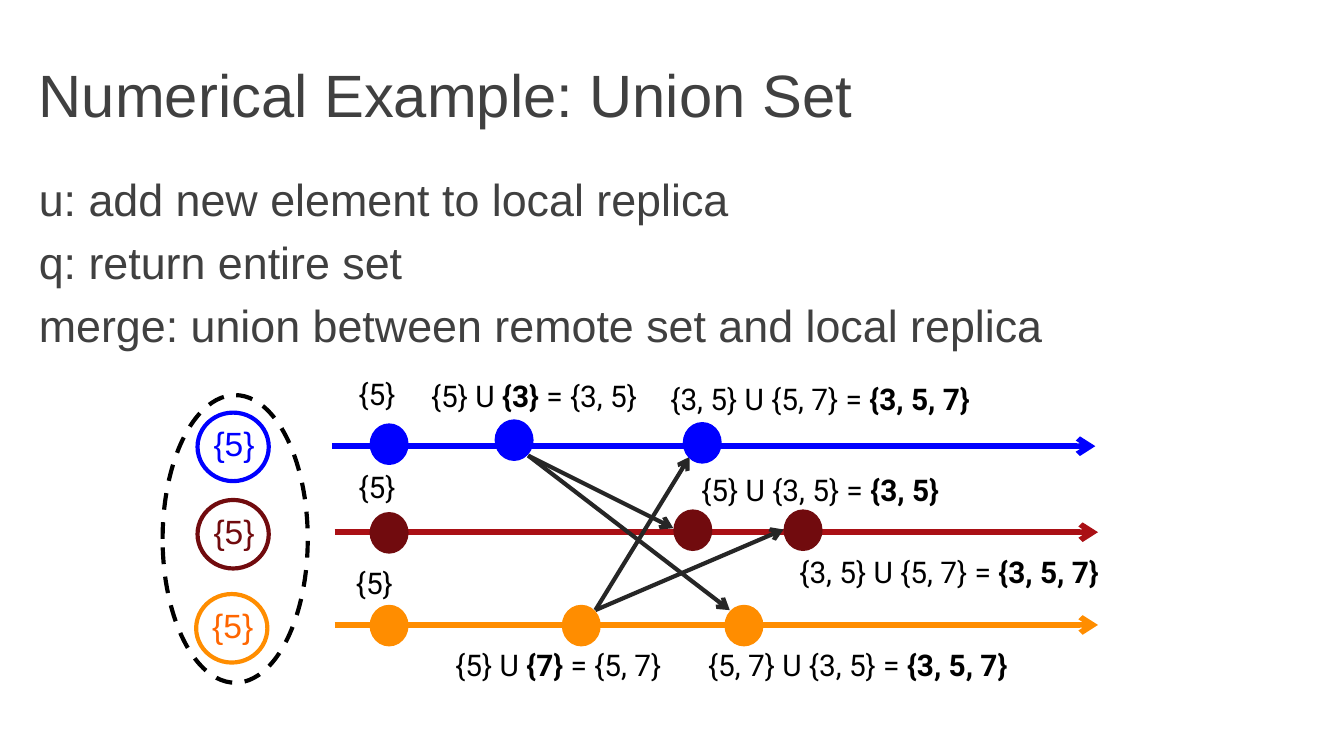
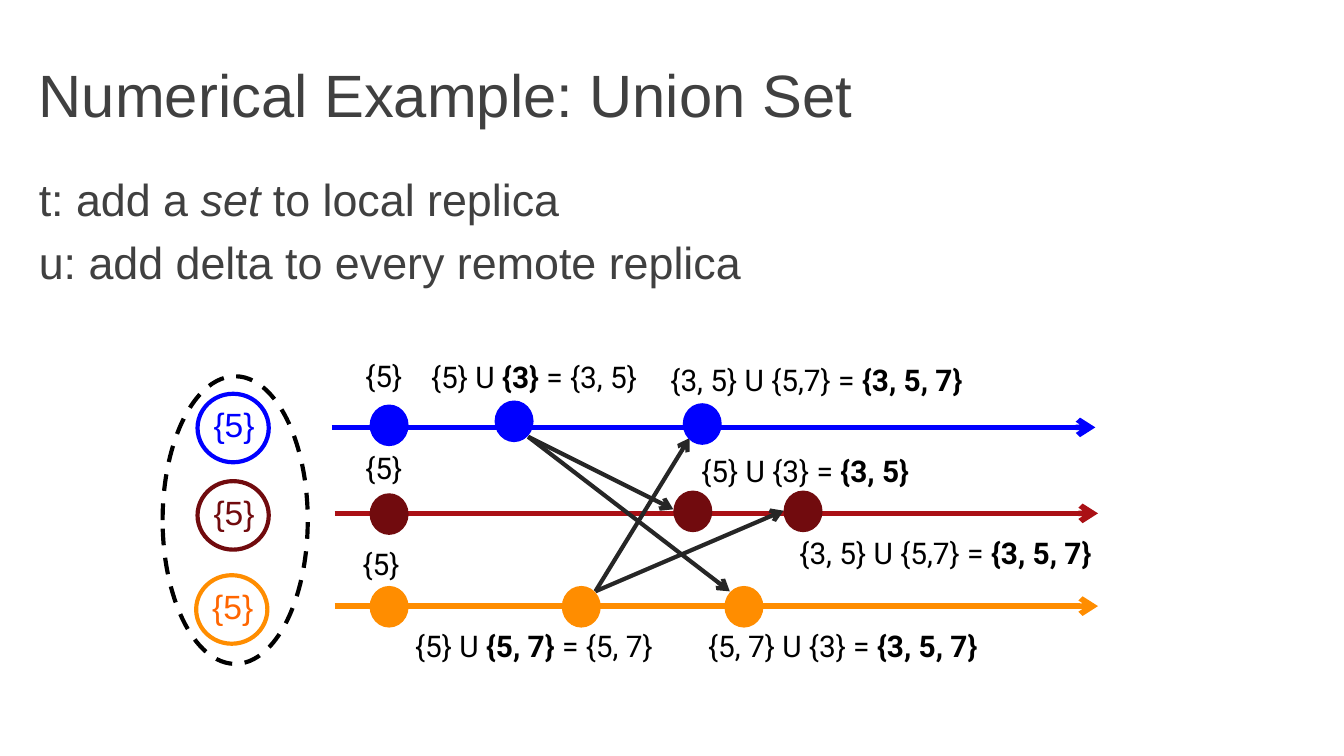
"""Build two slides that trace a replicated union set over three timelines."""
import pptx
import pptx.dml.color
import pptx.enum.dml
import pptx.enum.shapes
import pptx.enum.text
import pptx.oxml.ns
import pptx.util
from lxml import etree


class Theme:
    ink = "404040"
    black = "000000"
    blue = "0000FF"
    red = "AA1015"
    maroon = "710B0E"
    amber = "FF8D00"
    orange = "FF6600"
    coal = "262626"
    sans = "Arial"
    label = "Roboto"
    title = 32
    body = 24
    ring = 18
    note = 16
    gap = 4.8
    thick = 3
    thin = 2.25


PX = 9144
rgb = pptx.dml.color.RGBColor.from_string
qn = pptx.oxml.ns.qn


def oval(shapes, box, fill=None, line=None):
    shape = shapes.add_shape(pptx.enum.shapes.MSO_SHAPE.OVAL, *[n * PX for n in box])
    shape.shadow.inherit = False
    if fill:
        shape.fill.solid()
        shape.fill.fore_color.rgb = rgb(fill)
    else:
        shape.fill.background()
    if line:
        shape.line.color.rgb = rgb(line)
        shape.line.width = pptx.util.Pt(Theme.thin)
    else:
        shape.line.fill.background()
    return shape


def write(shapes, box, text, size, font, color, mark="bold", wrap=True):
    frame = shapes.add_textbox(*[n * PX for n in box]).text_frame
    frame.word_wrap = wrap
    frame.text = text.replace("*", "")
    for para, line in zip(frame.paragraphs, text.split("\n")):
        if "*" in line:
            para.text = ""
            for i, part in enumerate(line.split("*")):
                if part:
                    run = para.add_run()
                    run.text = part
                    setattr(run.font, mark, i % 2 == 1)
        for run in para.runs:
            run.font.size = pptx.util.Pt(size)
            run.font.name = font
            run.font.color.rgb = rgb(color)
    return frame


tracks = [
    (247, 332, 815, 332, Theme.blue, Theme.thick),
    (249, 396, 817, 396, Theme.red, Theme.thick),
    (249, 465, 817, 465, Theme.amber, Theme.thick),
]
sends = [
    (393, 339, 543, 454),
    (393, 339, 501, 393),
    (443, 454, 583, 394),
    (443, 454, 513, 340),
]
arrows = tracks + [ends + (Theme.coal, Theme.thin) for ends in sends]
nodes = [
    (147, 307, Theme.blue, Theme.blue, 315, 275, 0),
    (147, 372, Theme.maroon, Theme.maroon, 381, 344, 0),
    (146, 442, Theme.amber, Theme.orange, 450, 415, 2),
]
events = [
    (368, 312, Theme.blue, 276),
    (418, 450, Theme.amber, 476),
    (508, 314, Theme.blue, 278),
    (539, 450, Theme.amber, 476),
    (501, 379, Theme.maroon, 346),
    (583, 379, Theme.maroon, 407),
]
pages = [
    (
        "u: add new element to local replica\nq: return entire set\n"
        "merge: union between remote set and local replica",
        165, 0, 257,
        [
            (311, 192, "{5} U *{3}* = {3, 5}"),
            (329, 192, "{5} U *{7}* = {5, 7}"),
            (489, 262, "{3, 5} U {5, 7} = *{3, 5, 7}*"),
            (517, 262, "{5, 7} U {3, 5} = *{3, 5, 7}*"),
            (512, 262, "{5} U {3, 5} = *{3, 5}*"),
            (585, 262, "{3, 5} U {5, 7} = *{3, 5, 7}*"),
        ],
    ),
    (
        "t: add a *set* to local replica\nu: add delta to every remote replica",
        113, -14, 262,
        [
            (311, 192, "{5} U *{3}* = {3, 5}"),
            (299, 222, "{5} U *{5, 7}* = {5, 7}"),
            (489, 262, "{3, 5} U {5,7} = *{3, 5, 7}*"),
            (517, 262, "{5, 7} U {3} = *{3, 5, 7}*"),
            (512, 262, "{5} U {3} = *{3, 5}*"),
            (585, 262, "{3, 5} U {5,7} = *{3, 5, 7}*"),
        ],
    ),
]

deck = pptx.Presentation()
deck.slide_width = 1000 * PX
deck.slide_height = deck.slide_width * 9 // 16
fit = pptx.enum.text.MSO_AUTO_SIZE.SHAPE_TO_FIT_TEXT

for body, tall, shift, start, notes in pages:
    shapes = deck.slides.add_slide(deck.slide_layouts[6]).shapes
    head = write(shapes, (19, 23, 968, 94), "Numerical Example: Union Set",
                 Theme.title, Theme.sans, Theme.ink)
    head.vertical_anchor = pptx.enum.text.MSO_ANCHOR.MIDDLE
    rules = write(shapes, (19, 123, 968, tall), body,
                  Theme.body, Theme.sans, Theme.ink, mark="italic")
    for para in rules.paragraphs[1:]:
        para.space_before = pptx.util.Pt(Theme.gap)

    for x1, y1, x2, y2, color, width in arrows:
        arrow = shapes.add_connector(
            pptx.enum.shapes.MSO_CONNECTOR.STRAIGHT,
            x1 * PX, (y1 + shift) * PX, x2 * PX, (y2 + shift) * PX)
        arrow.line.color.rgb = rgb(color)
        arrow.line.width = pptx.util.Pt(width)
        props = arrow.element.spPr
        etree.SubElement(props.find(qn("a:ln")), qn("a:tailEnd"), type="arrow")
        etree.SubElement(props, qn("a:effectLst"))

    group = oval(shapes, (121, 294 + shift, 108, 214), line=Theme.black)
    group.line.dash_style = pptx.enum.dml.MSO_LINE.DASH
    for x, y, color, ink, dot, top, back in nodes:
        oval(shapes, (x, y + shift, 53, 51), line=color)
        name = write(shapes, (x + 2, y + 3 + shift, 51, 40), "{5}",
                     Theme.ring, Theme.sans, ink, wrap=False)
        name.auto_size = fit
        oval(shapes, (275, dot + shift, 29, 31), fill=color)
        seed = write(shapes, (start - back, top + shift, 58, 37), "{5}",
                     Theme.note, Theme.label, Theme.black)
        seed.auto_size = fit

    for (x, y, color, top), (left, width, text) in zip(events, notes):
        pair = shapes.add_group_shape().shapes
        oval(pair, (x, y + shift, 29, 31), fill=color)
        note = write(pair, (left, top + shift, width, 37), text,
                     Theme.note, Theme.label, Theme.black)
        note.auto_size = fit

deck.save("out.pptx")
